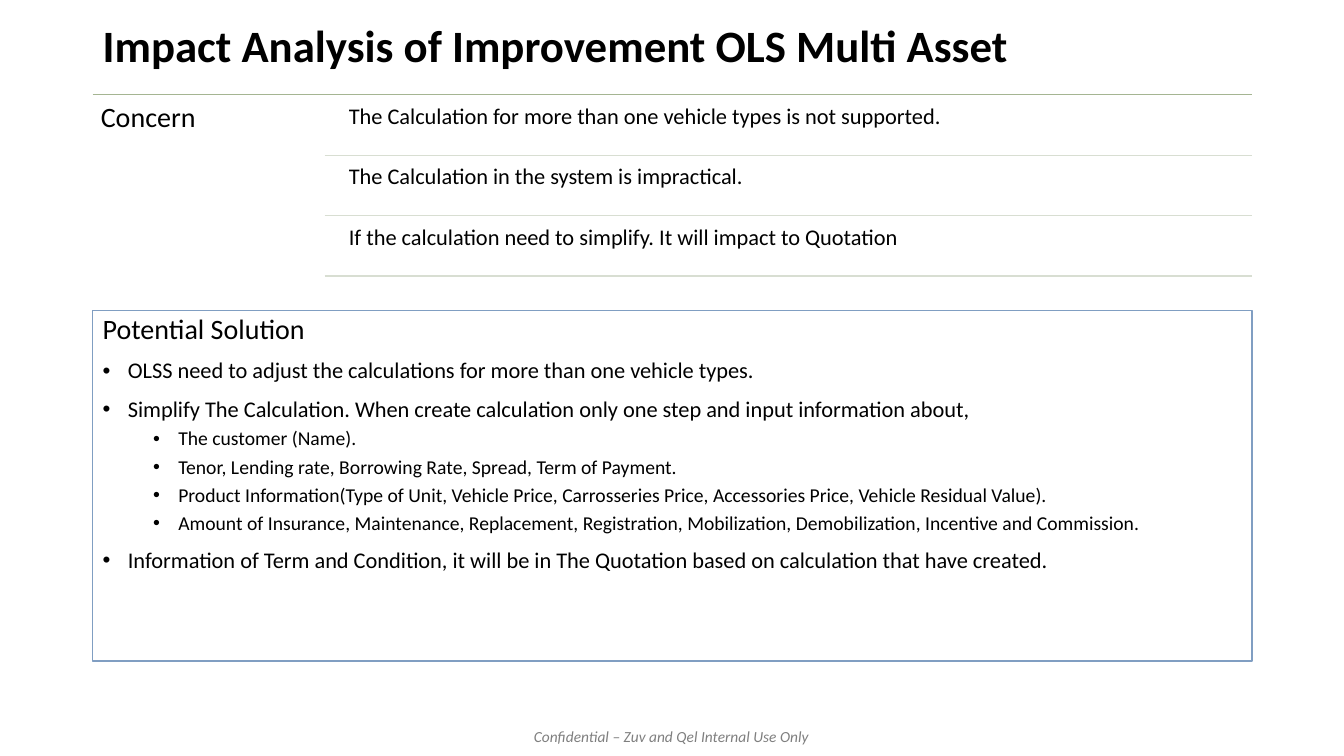
from lxml import etree
from pptx import Presentation
from pptx.dml.color import RGBColor
from pptx.enum import shapes, text
from pptx.oxml.ns import qn
from pptx.util import Inches, Pt

# Content
HEADING = "Impact Analysis of Improvement OLS Multi Asset"
CONCERN_LABEL = "Concern"
CONCERNS = [
    "The Calculation for more than one vehicle types is not supported.",
    "The Calculation in the system is impractical.",
    "If the calculation need to simplify. It will impact to Quotation",
]
SOLUTIONS = [  # (style, wording)
    ("label", "Potential Solution"),
    ("point", "OLSS need to adjust the calculations for more than one vehicle types."),
    ("point", "Simplify The Calculation. When create calculation only one step and input information about,"),
    ("detail", "The customer (Name)."),
    ("detail", "Tenor, Lending rate, Borrowing Rate, Spread, Term of Payment."),
    ("detail", "Product Information(Type of Unit, Vehicle Price, Carrosseries Price, Accessories Price, Vehicle Residual Value)."),
    ("detail", "Amount of Insurance, Maintenance, Replacement, Registration, Mobilization, Demobilization, Incentive and Commission."),
    ("point", "Information of Term and Condition, it will be in The Quotation based on calculation that have created."),
]
CONFIDENTIALITY = "Confidential – Zuv and Qel Internal Use Only"

# Formats: font values, space before in points, bullet indent in inches
FONTS = {
    "heading": {"size": Pt(32), "bold": True},
    "label": {"size": Pt(20)},
    "point": {"size": Pt(16)},
    "detail": {"size": Pt(14)},
    "footer": {"size": Pt(11), "italic": True},
}
SPACE_BEFORE = {"label": 10, "point": 10, "detail": 5}
BULLET_INDENT = {"point": 0.25, "detail": 0.75}
HANGING = 0.25

# Layout
LEFT, RIGHT = 0.92, 12.42
WIDTH = RIGHT - LEFT
CONCERN_TOP, ROW_PITCH, ROW_HEIGHT, ROW_GAP = 0.94, 0.6, 0.57, 0.03
DIVIDER_LEFT, CONCERN_LEFT = 3.22, 3.39

deck = Presentation()
deck.slide_width, deck.slide_height = Inches(13.33), Inches(7.5)
slide = deck.slides.add_slide(deck.slide_layouts[6])


def color(hex_value):
    return RGBColor.from_string(hex_value)


def write(paragraph, wording, style, ink="000000"):
    run = paragraph.add_run()
    run.text = wording
    for name, value in {"name": "Calibri", **FONTS[style]}.items():
        setattr(run.font, name, value)
    run.font.color.rgb = color(ink)


def set_frame(frame, side=0.1, top=0.05, **settings):
    margins = {"margin_left": side, "margin_right": side, "margin_top": top, "margin_bottom": top}
    for name, value in margins.items():
        setattr(frame, name, Inches(value))
    for name, value in {"word_wrap": True, "vertical_anchor": text.MSO_ANCHOR.TOP, **settings}.items():
        setattr(frame, name, value)


def add_text(box, wording, style, ink="000000", spacing=0.9, align=text.PP_ALIGN.LEFT, **settings):
    frame = slide.shapes.add_textbox(*map(Inches, box)).text_frame
    set_frame(frame, **settings)
    paragraph = frame.paragraphs[0]
    paragraph.alignment, paragraph.line_spacing = align, spacing
    write(paragraph, wording, style, ink)


def add_rule(left, y, ink):
    rule = slide.shapes.add_connector(
        shapes.MSO_CONNECTOR.STRAIGHT, Inches(left), Inches(y), Inches(RIGHT), Inches(y))
    rule.line.color.rgb, rule.line.width = color(ink), Pt(1)
    etree.SubElement(rule._element.spPr, qn("a:effectLst"))


def add_bullet(paragraph, indent):
    properties = paragraph._p.get_or_add_pPr()
    properties.set("marL", str(Inches(indent)))
    properties.set("indent", str(-Inches(HANGING)))
    etree.SubElement(properties, qn("a:buFont"), typeface="Arial")
    etree.SubElement(properties, qn("a:buChar"), char="•")


# Footer and heading
add_text((5.19, 7.16, 2.94, 0.29), CONFIDENTIALITY, "footer", "7F7F7F", spacing=1.0,
         align=text.PP_ALIGN.CENTER, word_wrap=False, vertical_anchor=text.MSO_ANCHOR.MIDDLE)
add_text((LEFT, 0.18, WIDTH, 0.6), HEADING, "heading", vertical_anchor=text.MSO_ANCHOR.MIDDLE)

# Concerns, each with a divider below
add_rule(LEFT, CONCERN_TOP, "A5B592")
add_text((LEFT, CONCERN_TOP, 2.3, 1.82), CONCERN_LABEL, "label", side=0.08, top=0.08)
for row, concern in enumerate(CONCERNS):
    top = CONCERN_TOP + ROW_GAP + row * ROW_PITCH
    add_text((CONCERN_LEFT, top, RIGHT - CONCERN_LEFT, ROW_HEIGHT), concern, "point", side=0.07, top=0.07)
    add_rule(DIVIDER_LEFT, top + ROW_HEIGHT, "D8DED2")

# Potential solution panel
panel = slide.shapes.add_shape(
    shapes.MSO_SHAPE.RECTANGLE, *map(Inches, (LEFT, 3.08, WIDTH, 3.48)))
panel.shadow.inherit = False
panel.fill.solid()
panel.fill.fore_color.rgb = color("FFFFFF")
panel.line.color.rgb, panel.line.width = color("809EC2"), Pt(1)
set_frame(panel.text_frame)
for number, (style, wording) in enumerate(SOLUTIONS):
    paragraph = panel.text_frame.add_paragraph() if number else panel.text_frame.paragraphs[0]
    paragraph.alignment, paragraph.line_spacing = text.PP_ALIGN.LEFT, 0.9
    paragraph.space_before = Pt(SPACE_BEFORE[style])
    if style in BULLET_INDENT:
        paragraph.level = int(style == "detail")
        add_bullet(paragraph, BULLET_INDENT[style])
    write(paragraph, wording, style)

deck.save("out.pptx")
